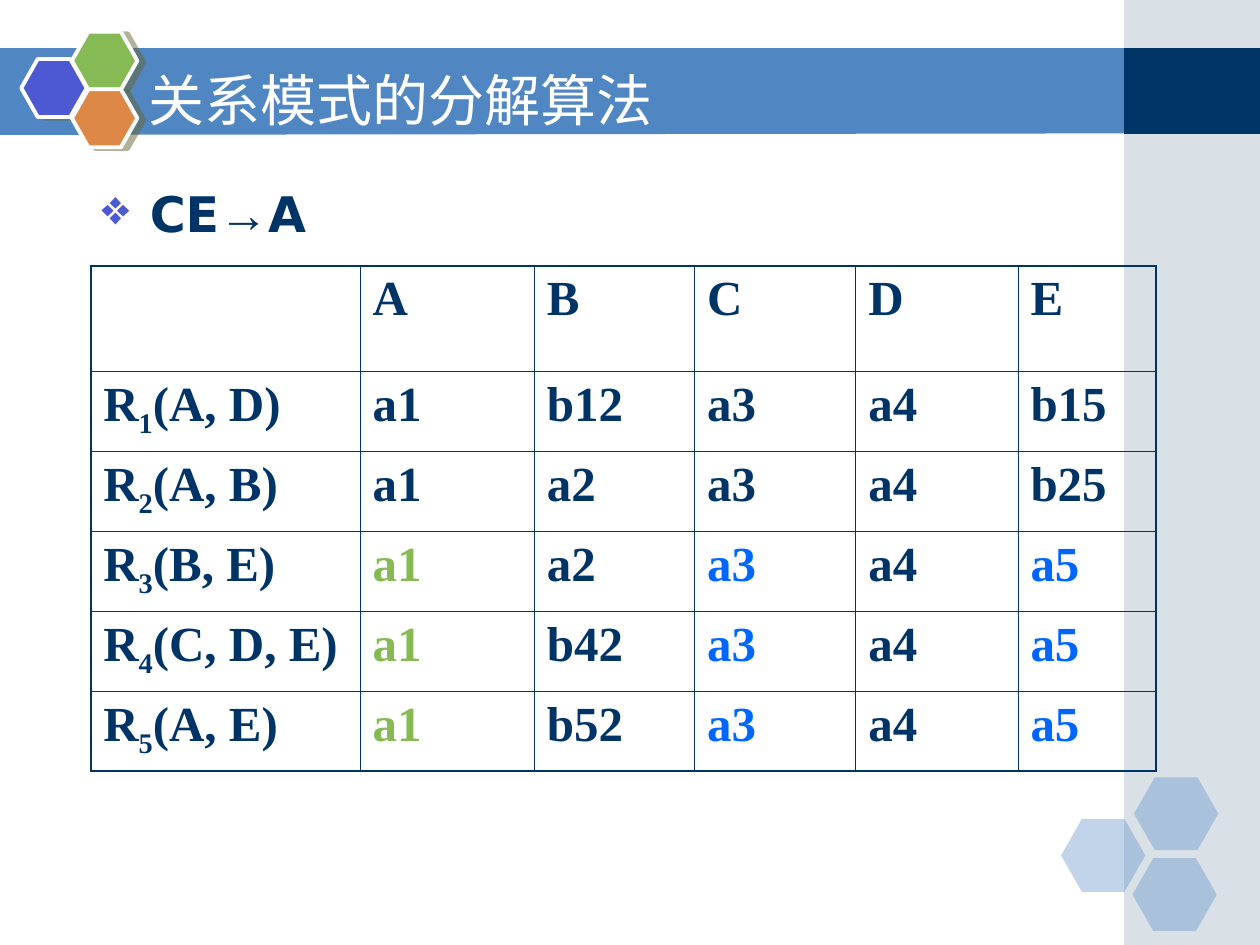
from lxml import etree
from pptx import Presentation
from pptx.dml.color import RGBColor
from pptx.enum.shapes import MSO_SHAPE
from pptx.enum.text import MSO_ANCHOR
from pptx.oxml.ns import qn
from pptx.util import Cm, Pt

RECTANGLE, HEXAGON = MSO_SHAPE.RECTANGLE, MSO_SHAPE.HEXAGON
MIDDLE = MSO_ANCHOR.MIDDLE

COLORS = {
    "band": "5086C2", "sidebar": "A0B5C4", "navy": "003366",
    "violet": "4C59D2", "green": "85BA54", "orange": "DE8848",
    "shadow": "666633", "blue": "0066FF", "white": "FFFFFF",
}
HEADING_FONT, ARROW_FONT, TABLE_FONT = "DejaVu Sans", "Arial", "Times New Roman"
OUTER_WIDTH, INNER_WIDTH = Pt(1.08), Pt(0.45)

ATTRIBUTES = ["A", "B", "C", "D", "E"]
RELATIONS = [
    ("(A, D)", ["a1", "b12", "a3", "a4", "b15"]),
    ("(A, B)", ["a1", "a2", "a3", "a4", "b25"]),
    ("(B, E)", ["a1", "a2", "a3", "a4", "a5"]),
    ("(C, D, E)", ["a1", "b42", "a3", "a4", "a5"]),
    ("(A, E)", ["a1", "b52", "a3", "a4", "a5"]),
]
# From the third relation on, these columns are highlighted
FIRST_HIGHLIGHT_ROW = 3
HIGHLIGHTS = {1: "green", 3: "blue", 5: "blue"}
COLUMN_WIDTHS = [5.43, 3.51, 3.23, 3.25, 3.27, 2.79]
HEADER_HEIGHT, ROW_HEIGHT = 2.13, 1.61


def rgb(name):
    return RGBColor.from_string(COLORS[name])


def add_color(parent, name, alpha=None):
    color = etree.SubElement(parent, qn("a:srgbClr"), val=COLORS[name])
    if alpha is not None:
        etree.SubElement(color, qn("a:alpha"), val=str(alpha * 1000))


def paint(shape, color, alpha=None):
    shape.shadow.inherit = False
    shape.fill.solid()
    shape.fill.fore_color.rgb = rgb(color)
    shape.line.fill.background()
    if alpha is not None:
        tint = shape._element.spPr.find(".//" + qn("a:srgbClr"))
        etree.SubElement(tint, qn("a:alpha"), val=str(alpha * 1000))


def add_filled(slide, kind, box, color, alpha=None):
    shape = slide.shapes.add_shape(kind, *(Cm(v) for v in box))
    paint(shape, color, alpha)
    return shape


def add_text_box(slide, box):
    frame = slide.shapes.add_textbox(*(Cm(v) for v in box)).text_frame
    frame.word_wrap = True
    return frame


def set_font(font, name, size, color, bold=False):
    font.name, font.size, font.bold = name, Pt(size), bold
    font.color.rgb = rgb(color)


def add_title_band(slide, left, top, width, height):
    # The lower edge rises slightly towards the right
    outline = slide.shapes.build_freeform(Cm(left), Cm(top), scale=1.0)
    outline.add_line_segments([
        (Cm(left + width), Cm(top)),
        (Cm(left + width), Cm(top + height - 0.03)),
        (Cm(left), Cm(top + height)),
    ])
    paint(outline.convert_to_shape(), "band")


def add_sidebar(slide, left, top, width, height):
    add_filled(slide, RECTANGLE, (left, top, width, height), "sidebar", 40)
    add_filled(slide, RECTANGLE, (left, top + 0.97, width, 1.73), "navy")


def add_corner_hexagons(slide, left, top):
    for dx, dy in [(0, 0.84), (1.47, 0), (1.44, 1.63)]:
        hexagon = add_filled(slide, HEXAGON, (left + dx, top + dy, 1.7, 1.47), "band", 35)
        hexagon.adjustments[0] = 0.286


def add_emblem(slide, left, top):
    for dx, dy, color in [(0, 0.55, "violet"), (1.02, 0, "green"), (1.02, 1.16, "orange")]:
        hexagon = add_filled(slide, HEXAGON, (left + dx, top + dy, 1.32, 1.17), color)
        hexagon.adjustments[0] = 0.283
        hexagon.line.color.rgb = rgb("white")
        hexagon.line.width = Pt(2.25)
        effects = hexagon._element.spPr.find(qn("a:effectLst"))
        shadow = etree.SubElement(effects, qn("a:outerShdw"), blurRad="0",
                                  dist=str(Pt(4.1)), dir=str(14 * 60000),
                                  algn="ctr", rotWithShape="0")
        add_color(shadow, "shadow", 50)


def add_title(slide, *box):
    frame = add_text_box(slide, box)
    frame.vertical_anchor = MIDDLE
    title = frame.paragraphs[0]
    title.text = "关系模式的分解算法"
    set_font(title.font, HEADING_FONT, 32, "white")


def add_dependency(slide, *box):
    dependency = add_text_box(slide, box).paragraphs[0]
    props = dependency._p.get_or_add_pPr()
    props.set("marL", str(Cm(0.97)))
    props.set("indent", str(Cm(-0.97)))
    add_color(etree.SubElement(props, qn("a:buClr")), "violet")
    etree.SubElement(props, qn("a:buChar"), char="❖")
    for text, font in [("CE", HEADING_FONT), ("→", ARROW_FONT), ("A", HEADING_FONT)]:
        run = dependency.add_run()
        run.text = text
        set_font(run.font, font, 28, "navy", bold=True)


def set_borders(cell, outer_edges):
    props = cell._tc.get_or_add_tcPr()
    for edge in "LRTB":
        width = OUTER_WIDTH if edge in outer_edges else INNER_WIDTH
        line = etree.SubElement(props, qn("a:ln" + edge), w=str(width))
        add_color(etree.SubElement(line, qn("a:solidFill")), "navy")


def fill_cell(cell, parts, color):
    paragraph = cell.text_frame.paragraphs[0]
    for text, is_subscript in parts:
        run = paragraph.add_run()
        run.text = text
        if is_subscript:
            run._r.get_or_add_rPr().set("baseline", "-25000")
    set_font(paragraph.font, TABLE_FONT, 28, color, bold=True)


def add_tableau(slide, left, top):
    row_heights = [HEADER_HEIGHT] + [ROW_HEIGHT] * len(RELATIONS)
    rows = [[[]] + [[(name, False)] for name in ATTRIBUTES]]
    for number, (scheme, symbols) in enumerate(RELATIONS, 1):
        label = [("R", False), (str(number), True), (scheme, False)]
        rows.append([label] + [[(symbol, False)] for symbol in symbols])

    table = slide.shapes.add_table(
        len(rows), len(COLUMN_WIDTHS), Cm(left), Cm(top),
        Cm(sum(COLUMN_WIDTHS)), Cm(sum(row_heights))).table
    table.first_row = table.horz_banding = False
    for column, width in zip(table.columns, COLUMN_WIDTHS):
        column.width = Cm(width)
    for row, height in zip(table.rows, row_heights):
        row.height = Cm(height)

    last_row, last_column = len(rows) - 1, len(COLUMN_WIDTHS) - 1
    for r, row in enumerate(rows):
        for c, parts in enumerate(row):
            cell = table.cell(r, c)
            outer = {"T": r == 0, "B": r == last_row, "L": c == 0, "R": c == last_column}
            set_borders(cell, [edge for edge, is_outer in outer.items() if is_outer])
            cell.fill.background()
            color = HIGHLIGHTS.get(c, "navy") if r >= FIRST_HIGHLIGHT_ROW else "navy"
            fill_cell(cell, parts, color)


def main():
    deck = Presentation()
    deck.slide_width, deck.slide_height = Cm(25.4), Cm(19.05)
    slide = deck.slides.add_slide(deck.slide_layouts[6])

    # Backdrop
    add_title_band(slide, -0.03, 0.97, 22.76, 1.75)
    add_sidebar(slide, 22.66, 0, 2.74, 19.05)
    add_corner_hexagons(slide, 21.39, 15.67)
    add_emblem(slide, 0.43, 0.64)

    # Content
    add_title(slide, 2.74, 1.27, 21.59, 1.45)
    add_dependency(slide, 1.8, 3.58, 10.59, 11.43)
    add_tableau(slide, 1.83, 5.36)

    deck.save("out.pptx")


if __name__ == "__main__":
    main()
